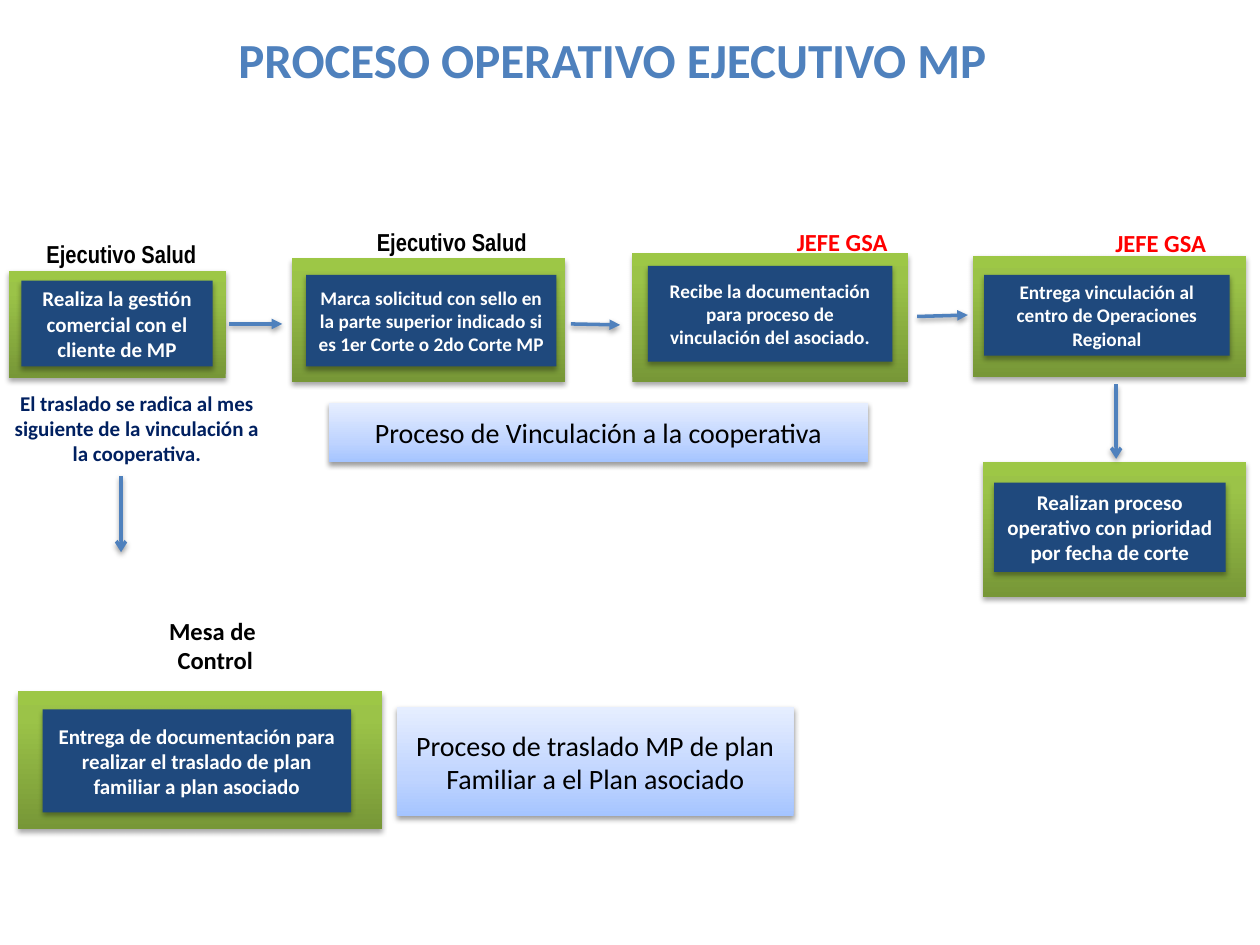
from dataclasses import dataclass

from lxml.etree import SubElement
from pptx import Presentation
from pptx.dml.color import RGBColor as Rgb
from pptx.enum.shapes import MSO_CONNECTOR as Link, MSO_SHAPE as Form
from pptx.enum.text import MSO_ANCHOR as Anchor, PP_ALIGN as Align
from pptx.oxml import parse_xml
from pptx.oxml.ns import nsdecls, qn
from pptx.util import Cm, Pt


@dataclass(frozen=True)
class Theme:
    font: str = "Calibri"
    narrow: str = "Arial Narrow"
    blue: str = "4F81BD"
    navy: str = "1F497D"
    ink: str = "002060"
    red: str = "FF0000"
    black: str = "000000"
    white: str = "FFFFFF"
    green: tuple = ((0, "779737"), (80, "9BC348"), (100, "9DC746"))
    sky: tuple = ((0, "A4C4FF"), (35, "BFD4FF"), (100, "E6EEFF"))
    title: int = 28
    panel: int = 16
    label: int = 14
    body: int = 12
    small: int = 11
    line: int = 2


class Flow:
    def __init__(self, slide, theme):
        self.slide = slide
        self.theme = theme

    def words(self, shape, lines, size, color, bold=True, font=None):
        frame = shape.text_frame
        frame.word_wrap = True
        for i, line in enumerate(lines.split("\n")):
            para = frame.paragraphs[0] if i == 0 else frame.add_paragraph()
            para.alignment = Align.CENTER
            run = para.add_run()
            run.text = line
            run.font.name = font or self.theme.font
            run.font.size = Pt(size)
            run.font.bold = bold
            run.font.color.rgb = Rgb.from_string(color)

    def shade(self, props, alpha=35, dist=1.8):
        """Put a soft shadow straight below the shape."""
        old = props.find(qn("a:effectLst"))
        if old is not None:
            props.remove(old)
        effect = SubElement(props, qn("a:effectLst"))
        drop = SubElement(effect, qn("a:outerShdw"), blurRad=str(Pt(3.1)),
                          dist=str(Pt(dist)), dir="5400000", rotWithShape="0")
        tone = SubElement(drop, qn("a:srgbClr"), val=self.theme.black)
        SubElement(tone, qn("a:alpha"), val=str(alpha * 1000))

    def text(self, box, lines, size, color, font=None):
        shape = self.slide.shapes.add_textbox(*map(Cm, box))
        self.words(shape, lines, size, color, font=font)

    def block(self, box, fill, form=Form.RECTANGLE, **shadow):
        """Draw a filled shape; a tuple of stops gives a gradient."""
        shape = self.slide.shapes.add_shape(form, *map(Cm, box))
        shape.shadow.inherit = False
        shape.line.fill.background()
        shape.text_frame.vertical_anchor = Anchor.MIDDLE
        props = shape.element.spPr
        if isinstance(fill, str):
            shape.fill.solid()
            shape.fill.fore_color.rgb = Rgb.from_string(fill)
        else:
            stops = "".join(
                f'<a:gs pos="{pos * 1000}"><a:srgbClr val="{tone}"/></a:gs>'
                for pos, tone in fill)
            props.insert(2, parse_xml(
                f'<a:gradFill {nsdecls("a")} rotWithShape="1">'
                f'<a:gsLst>{stops}</a:gsLst>'
                '<a:lin ang="16200000" scaled="0"/></a:gradFill>'))
        self.shade(props, **shadow)
        return shape

    def step(self, outer, inner, words, size):
        self.block(outer, self.theme.green)
        core = self.block(inner, self.theme.navy)
        self.words(core, words, size, self.theme.white)

    def panel(self, box, words):
        shape = self.block(box, self.theme.sky, Form.FLOWCHART_PROCESS,
                           alpha=38, dist=1.6)
        self.words(shape, words, self.theme.panel, self.theme.black, False)

    def arrow(self, ends, head="triangle"):
        link = self.slide.shapes.add_connector(Link.STRAIGHT, *map(Cm, ends))
        link.line.color.rgb = Rgb.from_string(self.theme.blue)
        link.line.width = Pt(self.theme.line)
        props = link.element.spPr
        SubElement(props.find(qn("a:ln")), qn("a:tailEnd"), type=head)
        self.shade(props, alpha=38, dist=1.6)


def main():
    deck = Presentation()
    deck.slide_width, deck.slide_height = Cm(25.4), Cm(19.05)
    look = Theme()
    flow = Flow(deck.slides.add_slide(deck.slide_layouts[6]), look)

    # Title
    flow.text((-0.1, 0.48, 24.89, 1.45), "PROCESO OPERATIVO EJECUTIVO MP",
              look.title, look.blue)

    # Steps: green frame, navy core, words, type size
    steps = [
        ((0.18, 5.46, 4.37, 2.16), (0.43, 5.66, 3.86, 1.73),
         "Realiza la gestión comercial con el cliente de MP", look.body),
        ((5.89, 5.21, 5.51, 2.49), (6.17, 5.54, 5.05, 1.85),
         "Marca solicitud con sello en la parte superior indicado si "
         "es 1er Corte o 2do Corte MP", look.small),
        ((12.75, 5.11, 5.56, 2.59), (13.06, 5.36, 4.93, 1.93),
         "Recibe la documentación para proceso de vinculación del asociado.",
         look.small),
        ((19.61, 5.16, 5.51, 2.44), (19.84, 5.54, 4.95, 1.63),
         "Entrega vinculación al centro de Operaciones Regional", look.small),
        ((19.81, 9.32, 5.31, 2.72), (20.04, 9.73, 4.67, 1.8),
         "Realizan proceso operativo con prioridad por fecha de corte",
         look.body),
        ((0.36, 13.94, 7.34, 2.77), (0.86, 14.3, 6.22, 2.08),
         "Entrega de documentación para realizar el traslado de plan "
         "familiar a plan asociado", look.body),
    ]
    for step in steps:
        flow.step(*step)

    # Roles above the steps
    for left, top in ((0.05, 4.7), (6.71, 4.45)):
        flow.text((left, top, 4.8, 0.86), "Ejecutivo Salud",
                  look.label, look.black, look.narrow)
    for left, top in ((14.48, 4.45), (20.9, 4.47)):
        flow.text((left, top, 5, 0.86), "JEFE GSA", look.label, look.red)
    flow.text((2.74, 12.29, 3.2, 1.45), "Mesa de \nControl",
              look.label, look.black)

    # Note under the first step
    flow.text((-0.1, 7.75, 5.72, 2.31),
              "El traslado se radica al mes siguiente de la vinculación a "
              "la cooperativa.", look.body, look.ink)

    # Arrows across, then down
    for ends in ((4.62, 6.53, 5.69, 6.53), (11.51, 6.53, 12.5, 6.55),
                 (18.49, 6.38, 19.51, 6.35)):
        flow.arrow(ends)
    for ends in ((2.44, 9.6, 2.44, 11.13), (22.5, 7.75, 22.5, 9.25)):
        flow.arrow(ends, "arrow")

    # Process names
    flow.panel((8, 14.25, 8, 2.21),
               "Proceso de traslado MP de plan Familiar a el Plan asociado")
    flow.panel((6.63, 8.13, 10.87, 1.19),
               "Proceso de Vinculación a la cooperativa")

    deck.save("out.pptx")


if __name__ == "__main__":
    main()
